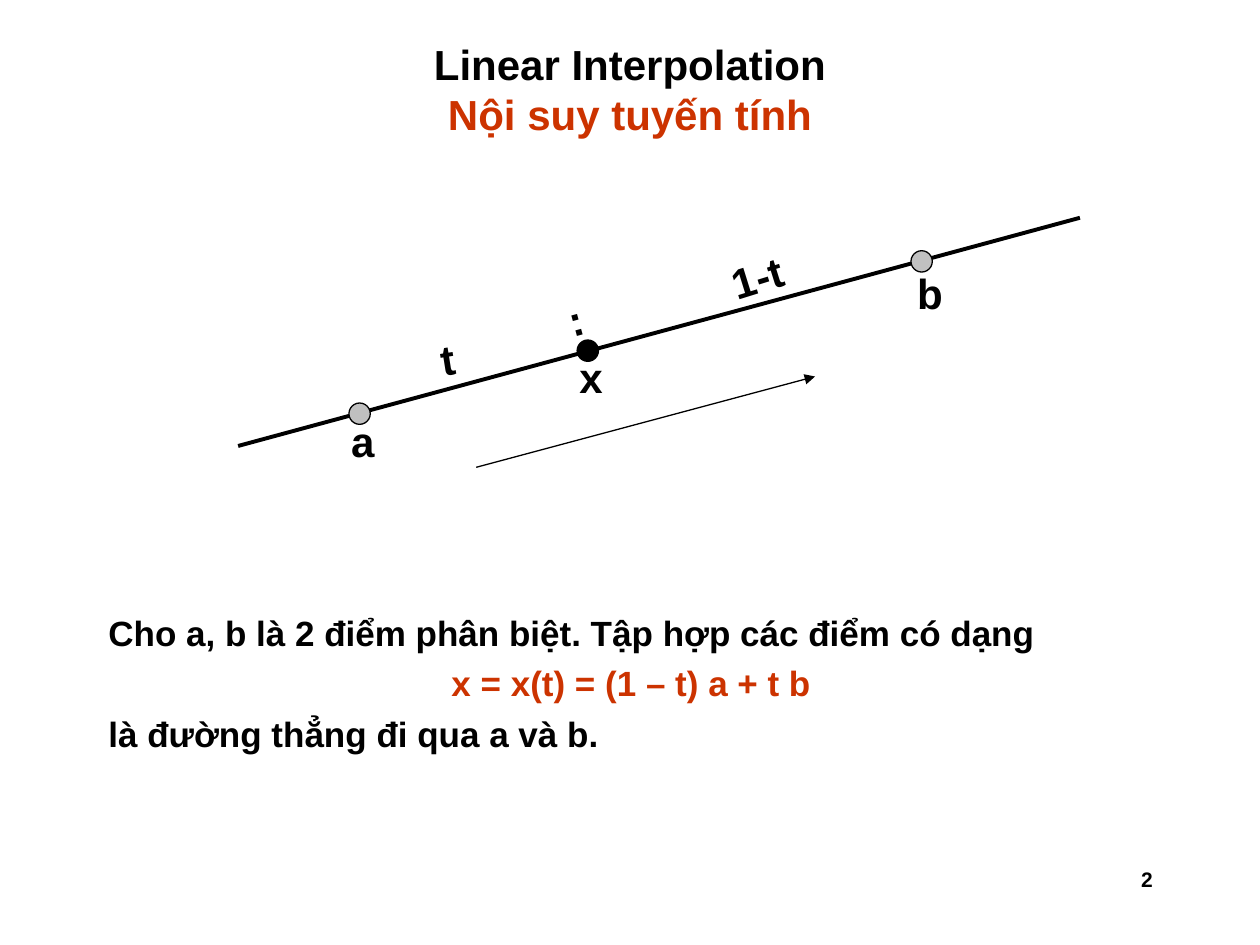
import pptx
import pptx.util
import pptx.dml.color
import pptx.enum.shapes
import pptx.enum.text
import pptx.oxml.ns
import lxml.etree

Cm = pptx.util.Cm
Pt = pptx.util.Pt
Align = pptx.enum.text.PP_ALIGN

THEME = {
    "font": "Arial",
    "ink": "000000", "accent": "CC3300", "point": "C0C0C0",
    "title": 24, "label": 24, "body": 20, "number": 12,
}

# Lengths in centimetres
TITLE = [("Linear Interpolation", "ink"), ("Nội suy tuyến tính", "accent")]
TITLE_BOX = (1.9, 0.84, 21.6, 1.9)
BODY = [
    ("Cho a, b là 2 điểm phân biệt. Tập hợp các điểm có dạng", Align.JUSTIFY, "ink"),
    ("x = x(t) = (1 – t) a + t b", Align.CENTER, "accent"),
    ("là đường thẳng đi qua a và b.", Align.JUSTIFY, "ink"),
]
BODY_BOX = (1.93, 12.19, 21.59, 4.06)
BODY_INDENT = 1.07
LINE = ((4.8, 8.99), (21.77, 4.39))
DIRECTION = ((9.6, 9.42), (16.43, 7.59))
POINTS = [((7.25, 8.34), "point"), ((18.58, 5.27), "point"), ((11.85, 7.07), "ink")]
POINT_SIZE = 0.43
LABELS = [  # text, left, top, rotation
    ("a", 6.83, 8.26, 0), ("b", 18.24, 5.26, 0), ("x", 11.43, 6.96, 0),
    ("t", 8.64, 6.53, 350.9), ("1-t", 14.5, 4.93, 342.7), (":", 11.2, 5.69, 344.7),
]
LABEL_SIZE = (1.7, 1.27)
NUMBER = "2"
NUMBER_BOX = (18.21, 17.35, 5.28, 1.27)


def color(name):
    return pptx.dml.color.RGBColor.from_string(THEME[name])


def add_element(parent, tag, **attributes):
    return lxml.etree.SubElement(parent, pptx.oxml.ns.qn(tag), **attributes)


def write(paragraph, text, size, ink="ink", align=Align.LEFT, before=0):
    paragraph.alignment = align
    paragraph.space_before = Pt(before)
    run = paragraph.add_run()
    run.text = text
    run.font.name = THEME["font"]
    run.font.size = Pt(THEME[size])
    run.font.bold = True
    run.font.color.rgb = color(ink)


def place(shape, box):
    shape.left, shape.top, shape.width, shape.height = map(Cm, box)


def fill_title(title):
    place(title, TITLE_BOX)
    frame = title.text_frame
    frame.auto_size = pptx.enum.text.MSO_AUTO_SIZE.NONE
    frame.vertical_anchor = pptx.enum.text.MSO_ANCHOR.MIDDLE
    paragraph = frame.paragraphs[0]
    for index, (text, ink) in enumerate(TITLE):
        if index:
            paragraph.add_line_break()
        write(paragraph, text, "title", ink=ink, align=Align.CENTER)


def fill_body(body):
    place(body, BODY_BOX)
    frame = body.text_frame
    frame.auto_size = pptx.enum.text.MSO_AUTO_SIZE.NONE
    for index, (text, align, ink) in enumerate(BODY):
        paragraph = frame.add_paragraph() if index else frame.paragraphs[0]
        write(paragraph, text, "body", ink=ink, align=align, before=5)
        properties = paragraph._p.get_or_add_pPr()
        properties.set("marL", str(Cm(BODY_INDENT)))
        properties.set("indent", str(-Cm(BODY_INDENT)))
        add_element(properties, "a:buNone")


def add_text(slide, text, box, size, rotation=0, **text_format):
    shape = slide.shapes.add_textbox(*map(Cm, box))
    shape.rotation = rotation
    shape.text_frame.word_wrap = True
    write(shape.text_frame.paragraphs[0], text, size, **text_format)


def add_line(slide, start, end, width, arrow=False):
    line = slide.shapes.add_connector(
        pptx.enum.shapes.MSO_CONNECTOR.STRAIGHT, *map(Cm, start + end))
    line.line.color.rgb = color("ink")
    line.line.width = Pt(width)
    if arrow:
        add_element(line.line._get_or_add_ln(), "a:tailEnd", type="triangle")
    add_element(line._element.spPr, "a:effectLst")


def add_point(slide, center, fill):
    left, top = (value - POINT_SIZE / 2 for value in center)
    shape = slide.shapes.add_shape(
        pptx.enum.shapes.MSO_SHAPE.OVAL,
        *map(Cm, (left, top, POINT_SIZE, POINT_SIZE)))
    shape.shadow.inherit = False
    shape.fill.solid()
    shape.fill.fore_color.rgb = color(fill)
    shape.line.color.rgb = color("ink")
    shape.line.width = Pt(0.75)


def main():
    presentation = pptx.Presentation()
    presentation.slide_width, presentation.slide_height = Cm(25.4), Cm(19.05)
    slide = presentation.slides.add_slide(presentation.slide_layouts[1])
    fill_title(slide.shapes.title)
    fill_body(slide.placeholders[1])
    add_line(slide, *LINE, width=2.25)
    add_line(slide, *DIRECTION, width=0.75, arrow=True)
    for center, fill in POINTS:
        add_point(slide, center, fill)
    for text, left, top, rotation in LABELS:
        add_text(slide, text, (left, top, *LABEL_SIZE), "label",
                 rotation=rotation, before=15)
    add_text(slide, NUMBER, NUMBER_BOX, "number", align=Align.RIGHT)
    presentation.save("out.pptx")


if __name__ == "__main__":
    main()
